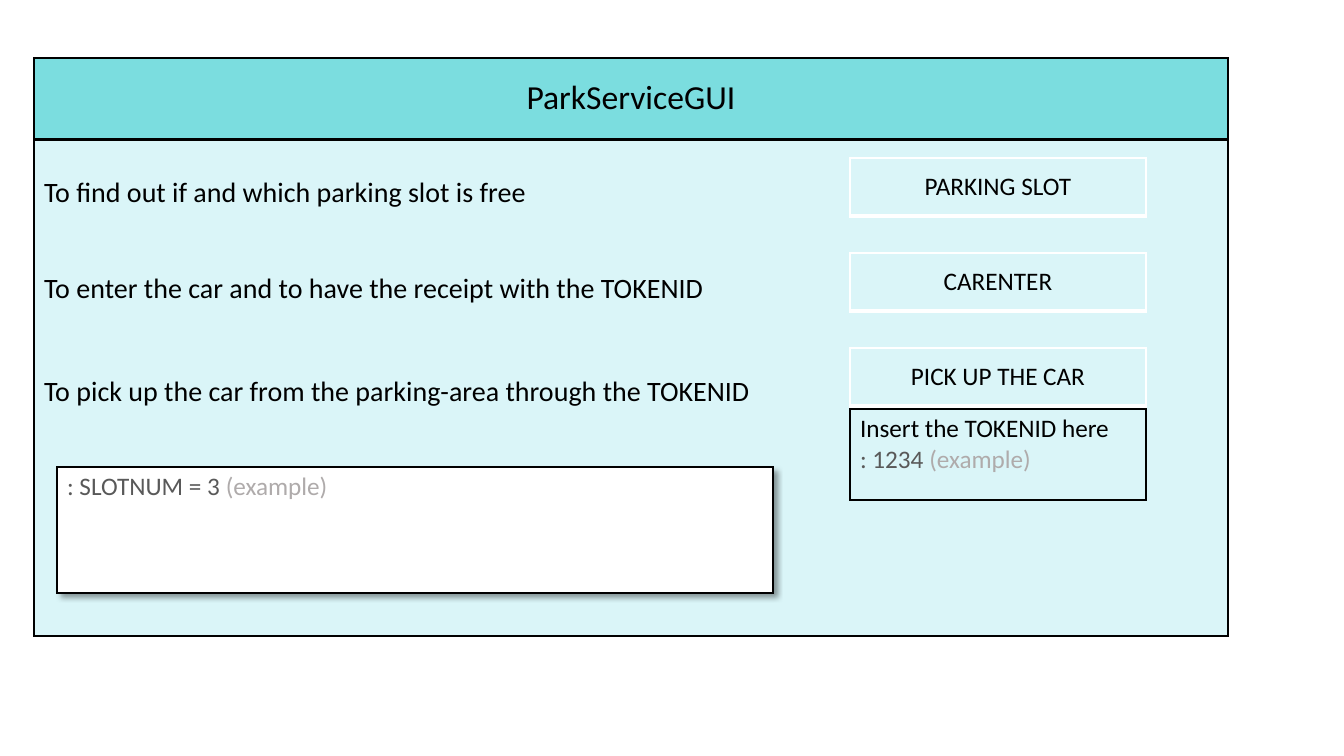
import pptx
import pptx.dml.color
import pptx.enum.text
import pptx.oxml
import pptx.oxml.ns
import pptx.util

PX = 914400 / 100.8
THEME = {
    "font": "Calibri",
    "title_size": 24, "body_size": 20, "field_size": 18,
    "ink": "000000", "value": "595959", "hint": "AFABAB",
    "header": "7BDDDF", "panel": "DAF5F8", "white": "FFFFFF",
}
CENTER = pptx.enum.text.PP_ALIGN.CENTER
LEFT = pptx.enum.text.PP_ALIGN.LEFT
MIDDLE = pptx.enum.text.MSO_ANCHOR.MIDDLE
TOP = pptx.enum.text.MSO_ANCHOR.TOP
NS = pptx.oxml.ns.nsdecls("a")


def px(length):
    return pptx.util.Emu(round(length * PX))


def add_panel(slide, box, lines, size, fill=None, border=THEME["ink"], bottom_width=1,
              align=LEFT, anchor=TOP, margin_top=5, gaps=()):
    """Add a one-cell table; each line is a list of (text, colour), gaps are points before later lines."""
    table = slide.shapes.add_table(1, 1, *map(px, box)).table
    for flag in ("first_row", "horz_banding"):
        setattr(table, flag, False)
    cell = table.cell(0, 0)
    cell_format = {"vertical_anchor": anchor, "margin_top": px(margin_top)}
    for name, value in cell_format.items():
        setattr(cell, name, value)

    properties = cell._tc.get_or_add_tcPr()
    for side in "LRTB":
        width = pptx.util.Pt(bottom_width if side == "B" else 1)
        properties.append(pptx.oxml.parse_xml(
            f'<a:ln{side} {NS} w="{width}"><a:solidFill><a:srgbClr val="{border}"/>'
            f'</a:solidFill></a:ln{side}>'))
    if fill:
        cell.fill.solid()
        cell.fill.fore_color.rgb = pptx.dml.color.RGBColor.from_string(fill)
    else:
        cell.fill.background()

    for index, line in enumerate(lines):
        paragraph = cell.text_frame.paragraphs[0] if index == 0 else cell.text_frame.add_paragraph()
        paragraph.alignment = align
        if index and gaps:
            paragraph.space_before = pptx.util.Pt(gaps[index - 1])
        for text, color in line:
            run = paragraph.add_run()
            run.text = text
            run_format = {"name": THEME["font"], "size": pptx.util.Pt(size), "bold": False}
            for name, value in run_format.items():
                setattr(run.font, name, value)
            run.font.color.rgb = pptx.dml.color.RGBColor.from_string(color)
    return table


deck = pptx.Presentation()
deck.slide_width = px(1344)
deck.slide_height = px(756)
slide = deck.slides.add_slide(deck.slide_layouts[6])

# Window: title bar and instructions
add_panel(slide, (34, 58, 1194, 81), [[("ParkServiceGUI", THEME["ink"])]],
          THEME["title_size"], THEME["header"], align=CENTER, anchor=MIDDLE)

instructions = [
    "To find out if and which parking slot is free",
    "To enter the car and to have the receipt with the TOKENID",
    "To pick up the car from the parking-area through the TOKENID",
]
add_panel(slide, (34, 140, 1194, 496), [[(text, THEME["ink"])] for text in instructions],
          THEME["body_size"], THEME["panel"], margin_top=36, gaps=(44, 49))

# Buttons
for row, label in enumerate(["PARKING SLOT", "CARENTER", "PICK UP THE CAR"]):
    add_panel(slide, (850, 158 + 95 * row, 296, 58), [[(label, THEME["ink"])]],
              THEME["field_size"], THEME["panel"], border=THEME["white"], bottom_width=3,
              align=CENTER, anchor=MIDDLE)

# Result display with a soft shadow
result = add_panel(slide, (57, 467, 716, 126),
                   [[(": SLOTNUM = 3 ", THEME["value"]), ("(example)", THEME["hint"])]],
                   THEME["field_size"], THEME["white"])
result._tbl.tblPr.insert(0, pptx.oxml.parse_xml(
    f'<a:effectLst {NS}><a:outerShdw blurRad="50800" dist="38100" dir="2700000" algn="tl" '
    f'rotWithShape="0"><a:srgbClr val="{THEME["ink"]}"><a:alpha val="40000"/></a:srgbClr>'
    '</a:outerShdw></a:effectLst>'))

# Token entry field
add_panel(slide, (850, 409, 296, 91),
          [[("Insert the TOKENID here", THEME["ink"])],
           [(": 1234 ", THEME["value"]), ("(example)", THEME["hint"])]],
          THEME["field_size"])

deck.save("out.pptx")
